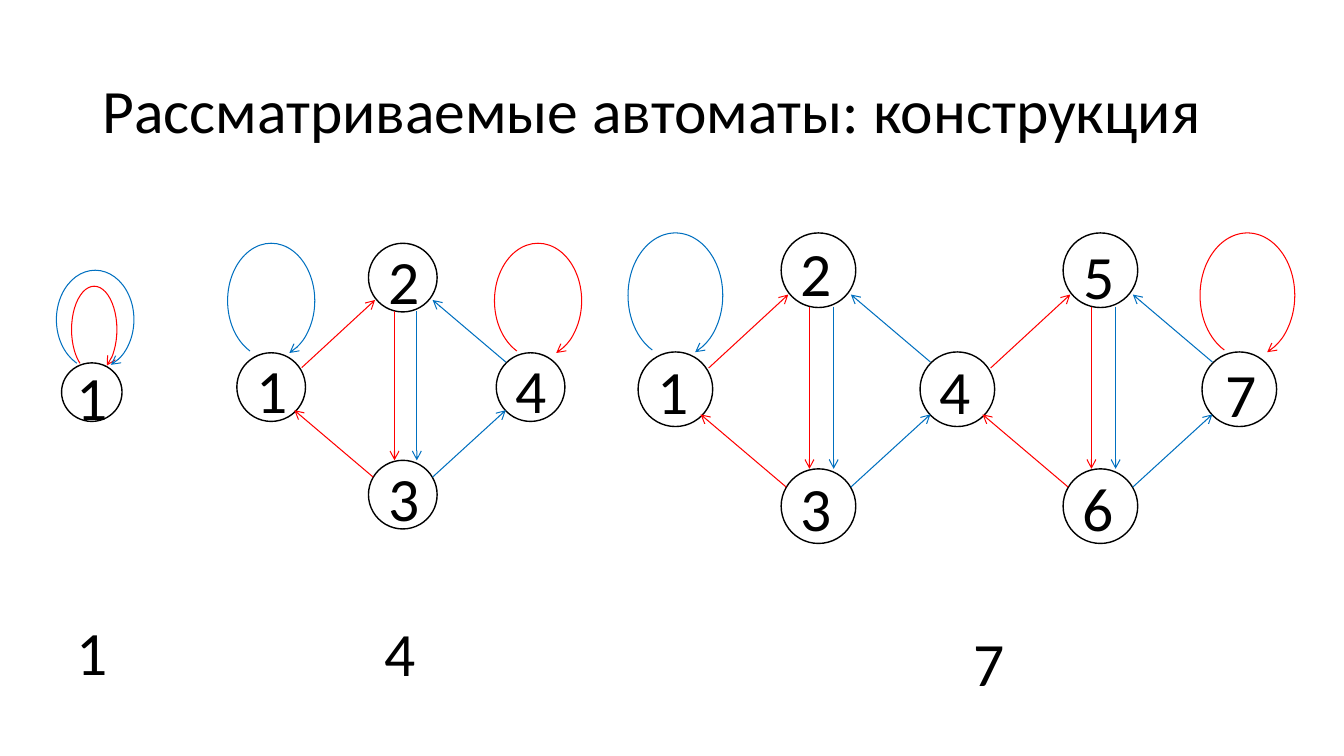
from lxml import etree
from pptx import Presentation
from pptx.dml.color import RGBColor
from pptx.enum import shapes, text
from pptx.oxml import ns
from pptx.util import Pt

BLACK = RGBColor(0x00, 0x00, 0x00)
WHITE = RGBColor(0xFF, 0xFF, 0xFF)
RED = RGBColor(0xFF, 0x00, 0x00)
BLUE = RGBColor(0x00, 0x70, 0xC0)

# Diamond geometry in points, measured from the left state's corner
STATE = 53.3
STATES = [(0, 0), (102.2, -85), (102.2, 83.5), (201.4, 0)]
EDGES = [
    (50.4, 11.5, 107.3, -41, RED),
    (152, 96.5, 208.8, 44.6, BLUE),
    (208.8, 7.2, 152, -41, BLUE),
    (139.7, -32.4, 139.7, 83.5, BLUE),
    (122.4, -32.4, 122.4, 83.5, RED),
    (105.8, 96.5, 44.6, 44.6, RED),
]
LOOP_SIZE = (67.7, 89.3)
LEFT_LOOP, RIGHT_LOOP = (-7.2, -85), (200, -85)


class Builder:
    font, size = "Calibri", Pt(44)

    def __init__(self, slide):
        self.slide = slide
        self.target = slide.shapes

    def group(self):
        self.target = self.slide.shapes.add_group_shape().shapes

    def ungroup(self):
        self.target = self.slide.shapes

    def style(self, p):
        p.font.name, p.font.size, p.font.color.rgb = self.font, self.size, BLACK

    def title(self, words, x, y, w, h):
        sp = self.slide.shapes.title
        sp.left, sp.top, sp.width, sp.height = Pt(x), Pt(y), Pt(w), Pt(h)
        tf = sp.text_frame
        tf.text = words
        tf.vertical_anchor = text.MSO_ANCHOR.MIDDLE
        p = tf.paragraphs[0]
        p.alignment, p.line_spacing = text.PP_ALIGN.LEFT, 0.9
        self.style(p)

    def label(self, words, x, y, w=50, h=60, spacing=1.0, after=0):
        tf = self.target.add_textbox(Pt(x), Pt(y), Pt(w), Pt(h)).text_frame
        tf.word_wrap = True
        tf.text = words
        p = tf.paragraphs[0]
        p.line_spacing, p.space_after = spacing, Pt(after)
        self.style(p)

    def state(self, words, x, y, w, h, dx=6.8, dy=-6.2):
        sp = self.target.add_shape(shapes.MSO_SHAPE.OVAL, Pt(x), Pt(y), Pt(w), Pt(h))
        sp.shadow.inherit = False
        sp.fill.solid()
        sp.fill.fore_color.rgb = WHITE
        sp.line.color.rgb, sp.line.width = BLACK, Pt(1)
        self.label(words, x + dx, y + dy, spacing=1.07, after=8)

    def arrow_line(self, line, color):
        line.color.rgb, line.width = color, Pt(0.75)
        etree.SubElement(line._get_or_add_ln(), ns.qn("a:tailEnd"), type="arrow")

    def edge(self, x1, y1, x2, y2, color):
        sp = self.target.add_connector(
            shapes.MSO_CONNECTOR.STRAIGHT, Pt(x1), Pt(y1), Pt(x2), Pt(y2))
        self.arrow_line(sp.line, color)
        etree.SubElement(sp._element.spPr, ns.qn("a:effectLst"))

    def loop(self, x, y, w, h, color):
        sp = self.target.add_shape(shapes.MSO_SHAPE.ARC, Pt(x), Pt(y), Pt(w), Pt(h))
        sp.adjustments[0], sp.adjustments[1] = 67.694, 42.49
        sp.shadow.inherit = False
        sp.fill.background()
        self.arrow_line(sp.line, color)

    def diamond(self, x, y, labels, scale=1.0, shared=False, offsets=None):
        """Four states and their edges; a shared left state is already drawn."""
        offsets = offsets or {}
        for name, (dx, dy) in list(zip(labels, STATES))[int(shared):]:
            self.state(name, x + dx * scale, y + dy * scale,
                       STATE * scale, STATE * scale, *offsets.get(name, ()))
        for x1, y1, x2, y2, color in EDGES:
            self.edge(x + x1 * scale, y + y1 * scale,
                      x + x2 * scale, y + y2 * scale, color)

    def outer_loop(self, x, y, place, color, scale=1.0):
        self.loop(x + place[0] * scale, y + place[1] * scale,
                  *(side * scale for side in LOOP_SIZE), color)


prs = Presentation()
prs.slide_width, prs.slide_height = Pt(960), Pt(540)
s = prs.slides.add_slide(prs.slide_layouts[5])
b = Builder(s)
b.title("Рассматриваемые автоматы: конструкция", 66, 28.8, 828, 104.4)

# Automaton with one state
b.group()
b.state("1", 44, 259.2, 43.2, 41.8, 3.6, -10)
b.loop(51.1, 204.5, 32.4, 61.9, RED)
b.loop(40.3, 193, 55.4, 70.6, BLUE)

# Automaton with four states
b.group()
x, y, scale = 169.2, 252, 0.92
b.diamond(x, y, "1234", scale, offsets={n: (7, -7.5) for n in "1234"})
b.outer_loop(x, y, LEFT_LOOP, BLUE, scale)
b.outer_loop(x, y, RIGHT_LOOP, RED, scale)

# Automaton with seven states: two diamonds sharing state 4
b.group()
x, y, step = 455.8, 251.4, STATES[3][0]
b.diamond(x, y, "1234")
b.diamond(x + step, y, "4567", shared=True,
          offsets={"5": (7.2, -3.6), "7": (9.4, -4.3)})
b.outer_loop(x, y, LEFT_LOOP, BLUE)
b.outer_loop(x + step, y, RIGHT_LOOP, RED)

# Number of states under each automaton
b.ungroup()
for count, x, y in [("1", 47.5, 434.9), ("4", 267.8, 435.6), ("7", 688.3, 442.8)]:
    b.label(count, x, y)

prs.save("out.pptx")
